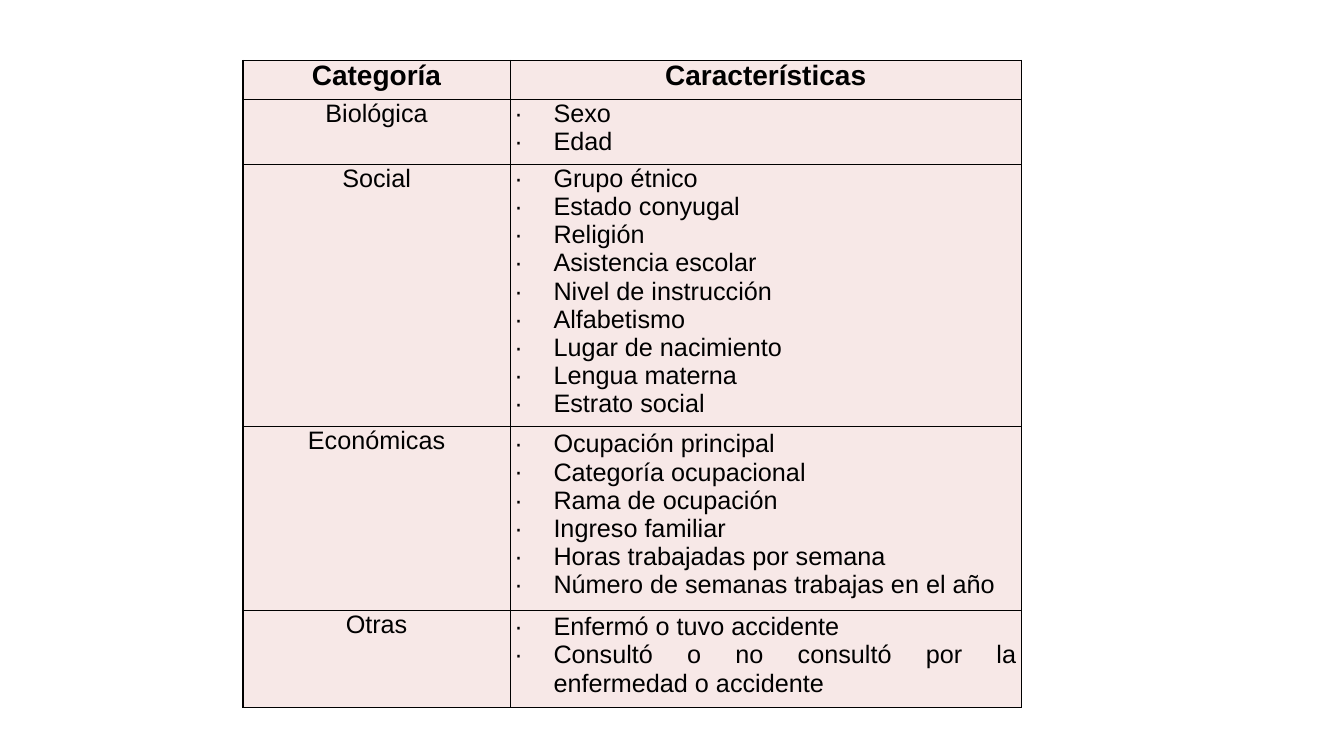
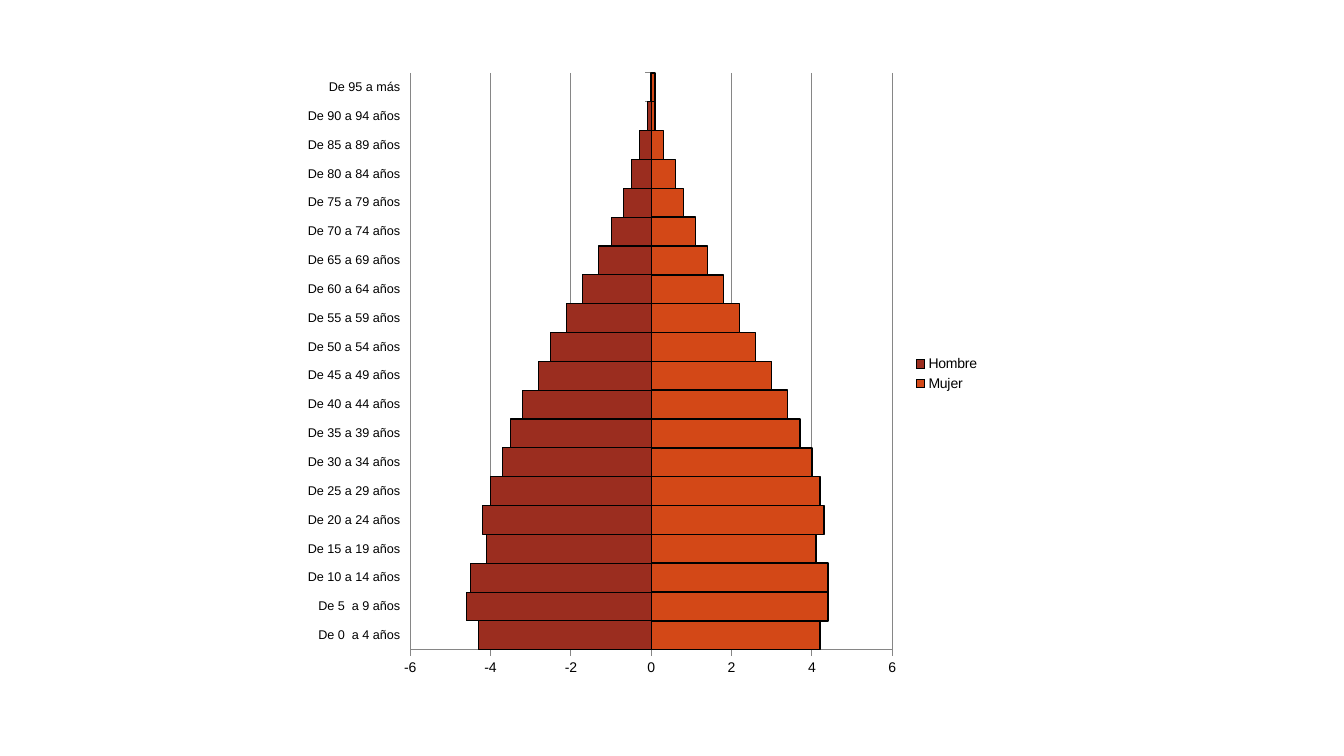
from dataclasses import dataclass

from lxml import etree
from pptx import Presentation
from pptx.chart.data import CategoryChartData
from pptx.dml.color import RGBColor
from pptx.enum.chart import XL_CHART_TYPE, XL_LEGEND_POSITION, XL_TICK_LABEL_POSITION, XL_TICK_MARK
from pptx.enum.text import MSO_ANCHOR, PP_ALIGN
from pptx.oxml.ns import qn
from pptx.util import Inches, Pt

BAR = XL_CHART_TYPE.BAR_CLUSTERED
LEGEND_RIGHT = XL_LEGEND_POSITION.RIGHT
LABELS_LOW = XL_TICK_LABEL_POSITION.LOW
TICK_OUT, TICK_NONE = XL_TICK_MARK.OUTSIDE, XL_TICK_MARK.NONE
TOP, MIDDLE = MSO_ANCHOR.TOP, MSO_ANCHOR.MIDDLE
CENTER, JUSTIFY = PP_ALIGN.CENTER, PP_ALIGN.JUSTIFY


@dataclass(frozen=True)
class Theme:
    font: str = "Arial"
    ink: str = "000000"
    cell: str = "F7E8E7"
    grid: str = "868686"
    women: str = "D34817"
    men: str = "9B2D1F"
    header_size: int = 20
    body_size: int = 18
    chart_size: int = 10
    label_size: int = 9


THEME = Theme()

# Content
HEADERS = ("Categoría", "Características")
CATEGORIES = [
    ("Biológica", ["Sexo", "Edad"]),
    ("Social", ["Grupo étnico", "Estado conyugal", "Religión", "Asistencia escolar",
                "Nivel de instrucción", "Alfabetismo", "Lugar de nacimiento",
                "Lengua materna", "Estrato social"]),
    ("Económicas", ["Ocupación principal", "Categoría ocupacional", "Rama de ocupación",
                    "Ingreso familiar", "Horas trabajadas por semana",
                    "Número de semanas trabajas en el año"]),
    ("Otras", ["Enfermó o tuvo accidente",
               "Consultó o no consultó por la enfermedad o accidente"]),
]
COLUMN_WIDTHS = (2.65, 5.07)
ROW_HEIGHTS = (0.39, 0.64, 2.41, 1.83, 0.96)

AGE_GROUPS = [f" De {age:<2} a {age + 4} años" for age in range(0, 95, 5)] + [" De 95 a más"]
# Name, fill, outline width, share of population per age group
POPULATION = [
    ("Mujer", THEME.women, 1, (4.2, 4.4, 4.4, 4.1, 4.3, 4.2, 4, 3.7, 3.4, 3,
                               2.6, 2.2, 1.8, 1.4, 1.1, 0.8, 0.6, 0.3, 0.1, 0.1)),
    ("Hombre", THEME.men, 0.75, (-4.3, -4.6, -4.5, -4.1, -4.2, -4, -3.7, -3.5, -3.2, -2.8,
                                 -2.5, -2.1, -1.7, -1.3, -1, -0.7, -0.5, -0.3, -0.1, 0)),
]
PLOT_LAYOUT = {"x": 0.17, "y": 0.02, "w": 0.69, "h": 0.92}


# Helpers
def add_xml(parent, tag, **attributes):
    return etree.SubElement(parent, qn(tag), attributes)


def add_solid(parent, color):
    add_xml(add_xml(parent, "a:solidFill"), "a:srgbClr", val=color)


def style_font(font, size, bold=False):
    font.name, font.size, font.bold = THEME.font, Pt(size), bold
    font.color.rgb = RGBColor.from_string(THEME.ink)


def style_line(line, color, width):
    line.color.rgb = RGBColor.from_string(color)
    line.width = Pt(width)


def add_bullet(para):
    properties = para._p.get_or_add_pPr()
    properties.set("marL", str(Inches(0.38)))
    properties.set("indent", str(-Inches(0.38)))
    add_xml(add_xml(properties, "a:buClr"), "a:srgbClr", val=THEME.ink)
    add_xml(properties, "a:buFont", typeface=THEME.font)
    add_xml(properties, "a:buChar", char="∙")


def fill_cell(cell, lines, size, bold=False, bullets=False, anchor=TOP):
    cell.margin_left = cell.margin_right = Inches(0.05)
    cell.margin_top, cell.margin_bottom = 0, Inches(0.08)
    cell.vertical_anchor = anchor
    cell.text = "\n".join(lines)
    for para in cell.text_frame.paragraphs:
        para.alignment = JUSTIFY if bullets else CENTER
        if bullets:
            add_bullet(para)
        style_font(para.font, size, bold)
    # Borders come before the fill in the cell properties
    properties = cell._tc.get_or_add_tcPr()
    for side in ("a:lnL", "a:lnR", "a:lnT", "a:lnB"):
        add_solid(add_xml(properties, side, w=str(Pt(1))), THEME.ink)
    cell.fill.solid()
    cell.fill.fore_color.rgb = RGBColor.from_string(THEME.cell)


def set_plot_layout(chart):
    plot_area = chart._chartSpace.chart.plotArea
    for old in plot_area.findall(qn("c:layout")):
        plot_area.remove(old)
    layout = etree.Element(qn("c:layout"))
    manual = add_xml(layout, "c:manualLayout")
    add_xml(manual, "c:layoutTarget", val="inner")
    for axis in ("x", "y"):
        add_xml(manual, f"c:{axis}Mode", val="edge")
    for key, value in PLOT_LAYOUT.items():
        add_xml(manual, f"c:{key}", val=str(value))
    plot_area.insert(0, layout)


# Slides
def build_category_table(page):
    frame = page.shapes.add_table(len(ROW_HEIGHTS), len(COLUMN_WIDTHS), Inches(2.41), Inches(0.6),
                                  Inches(sum(COLUMN_WIDTHS)), Inches(sum(ROW_HEIGHTS)))
    table = frame.table
    table.first_row = table.horz_banding = False
    for column, width in zip(table.columns, COLUMN_WIDTHS):
        column.width = Inches(width)
    for row, height in zip(table.rows, ROW_HEIGHTS):
        row.height = Inches(height)
    for index, header in enumerate(HEADERS):
        fill_cell(table.cell(0, index), [header], THEME.header_size, bold=True, anchor=MIDDLE)
    for index, (category, traits) in enumerate(CATEGORIES, start=1):
        fill_cell(table.cell(index, 0), [category], THEME.body_size)
        fill_cell(table.cell(index, 1), traits, THEME.body_size, bullets=True,
                  anchor=TOP if index == 1 else MIDDLE)


def build_population_pyramid(page):
    data = CategoryChartData()
    data.categories = AGE_GROUPS
    for name, _, _, values in POPULATION:
        data.add_series(name, values)
    chart = page.shapes.add_chart(BAR, Inches(2.89), Inches(0.6), Inches(6.93), Inches(6.22),
                                  data).chart
    style_font(chart.font, THEME.chart_size)
    chart.has_title = False
    chart.has_legend = True
    chart.legend.position = LEGEND_RIGHT
    chart.legend.include_in_layout = False
    set_plot_layout(chart)

    plot = chart.plots[0]
    plot.gap_width, plot.overlap, plot.vary_by_categories = 0, 100, False
    for series, (_, color, width, _) in zip(plot.series, POPULATION):
        series.invert_if_negative = False
        series.format.fill.solid()
        series.format.fill.fore_color.rgb = RGBColor.from_string(color)
        style_line(series.format.line, THEME.ink, width)

    ages, shares = chart.category_axis, chart.value_axis
    for axis in (ages, shares):
        axis.major_tick_mark, axis.minor_tick_mark = TICK_OUT, TICK_NONE
        style_line(axis.format.line, THEME.grid, 0.75)
    ages.tick_label_position = LABELS_LOW
    ages.has_major_gridlines = False
    style_font(ages.tick_labels.font, THEME.label_size)
    shares.minimum_scale, shares.maximum_scale, shares.major_unit = -6, 6, 2
    shares.has_major_gridlines = True
    style_line(shares.major_gridlines.format.line, THEME.grid, 0.75)


def main():
    deck = Presentation()
    deck.slide_width, deck.slide_height = Inches(13.33), Inches(7.5)
    for build in (build_category_table, build_population_pyramid):
        build(deck.slides.add_slide(deck.slide_layouts[6]))
    deck.save("out.pptx")


if __name__ == "__main__":
    main()
